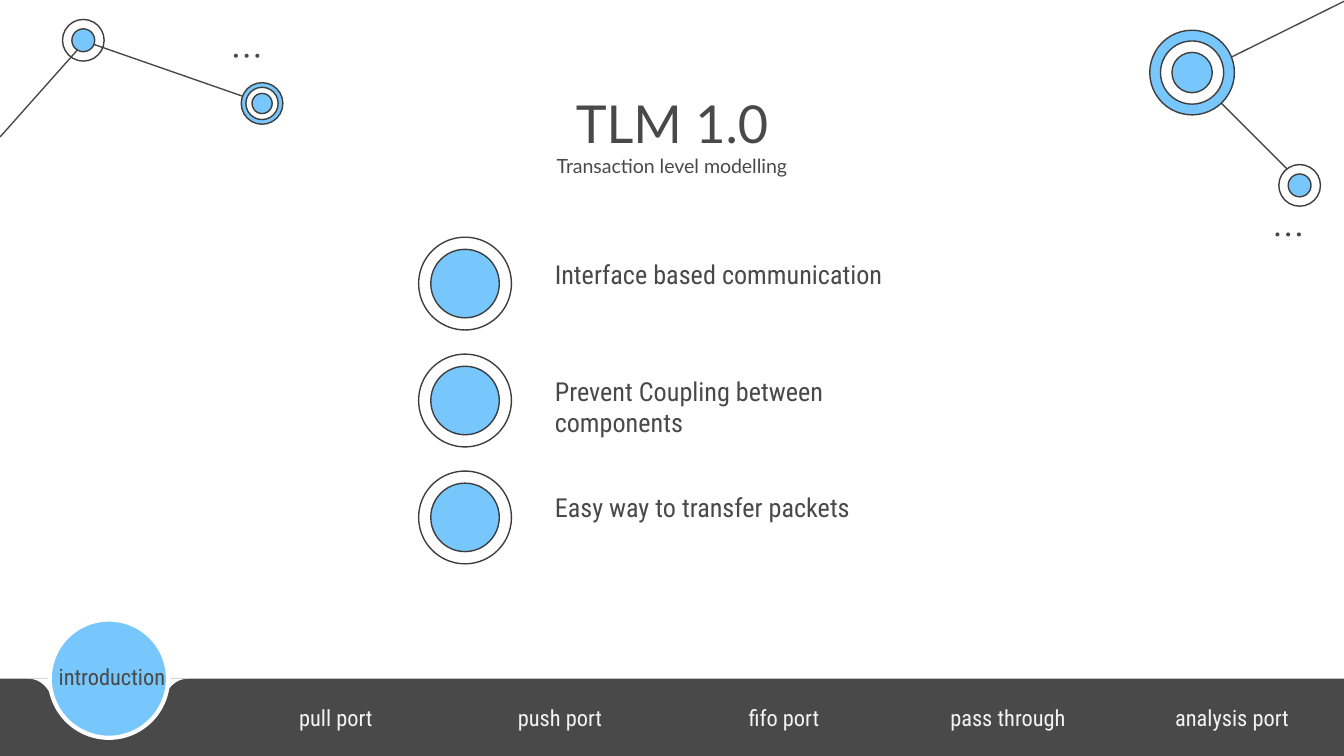
"""Build the TLM 1.0 introduction slide with its node decorations and footer navigation."""
from typing import NamedTuple, Optional

from lxml import etree
from pptx import Presentation
from pptx.dml.color import RGBColor
from pptx.enum.shapes import MSO_CONNECTOR, MSO_SHAPE
from pptx.enum.text import MSO_ANCHOR, PP_ALIGN
from pptx.oxml.ns import qn
from pptx.util import Inches, Pt

OVAL, RECT = MSO_SHAPE.OVAL, MSO_SHAPE.RECTANGLE
STRAIGHT = MSO_CONNECTOR.STRAIGHT
TOP, MIDDLE = MSO_ANCHOR.TOP, MSO_ANCHOR.MIDDLE
LEFT, CENTER = PP_ALIGN.LEFT, PP_ALIGN.CENTER

COLORS = {"dark": "494949", "outline": "3D3D3D", "blue": "77C6FC",
          "white": "FFFFFF", "nav": "F3F3F3"}
TITLE_FONT, BODY_FONT = "Lato", "Roboto Condensed"
SLIDE_W = 10
SLIDE_H = SLIDE_W * 9 / 16
BAR_TOP = 5.05
BAR_H = SLIDE_H - BAR_TOP


class Ring(NamedTuple):
    diameter: float
    fill: Optional[str]


class Node(NamedTuple):
    x: float
    y: float
    rings: tuple[Ring, ...]


class Link(NamedTuple):
    x1: float
    y1: float
    x2: float
    y2: float


class Box(NamedTuple):
    x: float
    y: float
    w: float
    h: float


SMALL_CORE = Ring(0.17, "blue")
NODES = (
    Node(0.62, 0.3, (Ring(0.31, None), SMALL_CORE)),
    Node(1.95, 0.77, (Ring(0.31, "blue"), Ring(0.24, "white"), Ring(0.15, "blue"))),
    Node(8.87, 0.54, (Ring(0.63, "blue"), Ring(0.47, "white"), Ring(0.3, "blue"))),
    Node(9.67, 1.38, (Ring(0.31, "white"), SMALL_CORE)),
)
LINKS = (
    Link(9.67, 1.35, 8.87, 0.55),
    Link(0.64, 0.31, 1.96, 0.77),
    Link(0, 1.02, 0.64, 0.3),
    Link(10, 0.01, 8.91, 0.55),
)
DOT_ROWS = ((1.74, 0.4), (9.49, 1.73))
BULLET_RINGS = (Ring(0.69, "white"), Ring(0.51, "blue"))
BULLETS = ("Interface based communication",
           "Prevent Coupling between components",
           "Easy way to transfer packets")
NAV = ("introduction", "pull port", "push port", "fifo port", "pass through", "analysis port")


def rgb(name: str) -> RGBColor:
    return RGBColor.from_string(COLORS[name])


def style(sp, fill: Optional[str], line: Optional[str] = None, width: float = 0.75) -> None:
    sp.shadow.inherit = False
    if fill:
        sp.fill.solid()
        sp.fill.fore_color.rgb = rgb(fill)
    else:
        sp.fill.background()
    if line:
        sp.line.color.rgb = rgb(line)
        sp.line.width = Pt(width)
    else:
        sp.line.fill.background()


def add_shape(s, kind, box: Box, fill: Optional[str],
              line: Optional[str] = None, width: float = 0.75) -> None:
    sp = s.shapes.add_shape(kind, *map(Inches, box))
    style(sp, fill, line, width)


def add_node(s, node: Node) -> None:
    for d, fill in node.rings:
        add_shape(s, OVAL, Box(node.x - d / 2, node.y - d / 2, d, d), fill, "outline")


def add_link(s, link: Link) -> None:
    cx = s.shapes.add_connector(STRAIGHT, *map(Inches, link))
    cx.line.color.rgb = rgb("dark")
    cx.line.width = Pt(0.75)
    etree.SubElement(cx._element.spPr, qn("a:effectLst"))


def add_text(s, box: Box, lines: tuple[tuple[str, float], ...], font: str, color: str,
             align=LEFT, anchor=TOP, inset: float = 0.1) -> None:
    tf = s.shapes.add_textbox(*map(Inches, box)).text_frame
    tf.word_wrap = True
    tf.vertical_anchor = anchor
    tf.margin_top = tf.margin_bottom = Inches(inset)
    p = tf.paragraphs[0]
    p.text = "\v".join(text for text, _ in lines)
    p.alignment = align
    for r, (_, size) in zip(p.runs, lines):
        r.font.name = font
        r.font.size = Pt(size)
        r.font.color.rgb = rgb(color)


def bezier(points, steps: int = 10) -> list[tuple[float, float]]:
    (ax, ay), (bx, by), (cx, cy), (dx, dy) = points
    curve = []
    for i in range(1, steps + 1):
        t = i / steps
        u = 1 - t
        k = (u**3, 3 * u * u * t, 3 * u * t * t, t**3)
        curve.append((k[0] * ax + k[1] * bx + k[2] * cx + k[3] * dx,
                      k[0] * ay + k[1] * by + k[2] * cy + k[3] * dy))
    return curve


def add_notch(s, mirrored: bool) -> None:
    corners = [(0.21, BAR_TOP), (0.47, BAR_TOP), (0.47, 5.2), (0.4, 5.2), (0.38, 5.17)]
    outline = corners + bezier((corners[-1], (0.34, 5.09), (0.28, BAR_TOP), corners[0]))
    points = [(Inches(1.61 - x if mirrored else x), Inches(y)) for x, y in outline]
    builder = s.shapes.build_freeform(*points[0])
    builder.add_line_segments(points[1:], close=True)
    style(builder.convert_to_shape(), "white")


def add_navigation(s) -> None:
    add_shape(s, RECT, Box(0, BAR_TOP, SLIDE_W, BAR_H), "dark")
    for mirrored in (False, True):
        add_notch(s, mirrored)
    add_shape(s, OVAL, Box(0.37, 4.61, 0.88, 0.88), "blue", "white", 2.25)
    w = SLIDE_W / len(NAV)
    for i, label in enumerate(NAV):
        y, color = (BAR_TOP, "nav") if i else (4.75, "dark")
        add_text(s, Box(i * w, y, w, BAR_H), ((label, 12),), BODY_FONT, color,
                 CENTER, MIDDLE, 0.05)


def main() -> None:
    prs = Presentation()
    prs.slide_width, prs.slide_height = Inches(SLIDE_W), Inches(SLIDE_H)
    s = prs.slides.add_slide(prs.slide_layouts[6])
    for link in LINKS:
        add_link(s, link)
    for node in NODES:
        add_node(s, node)
    for x, y in DOT_ROWS:
        for i in range(3):
            add_shape(s, OVAL, Box(x + 0.08 * i, y, 0.03, 0.03), "dark")
    add_text(s, Box(0.79, 0.58, 8.42, 0.63),
             (("TLM 1.0", 28), ("Transaction level modelling", 10.5)),
             TITLE_FONT, "dark", CENTER)
    for i, text in enumerate(BULLETS):
        dy = 0.87 * i
        add_node(s, Node(3.46, 2.11 + dy, BULLET_RINGS))
        add_text(s, Box(4.03, 1.82 + dy, 2.86, 0.63), ((text, 14),), BODY_FONT, "dark")
    add_navigation(s)
    prs.save("out.pptx")


if __name__ == "__main__":
    main()
